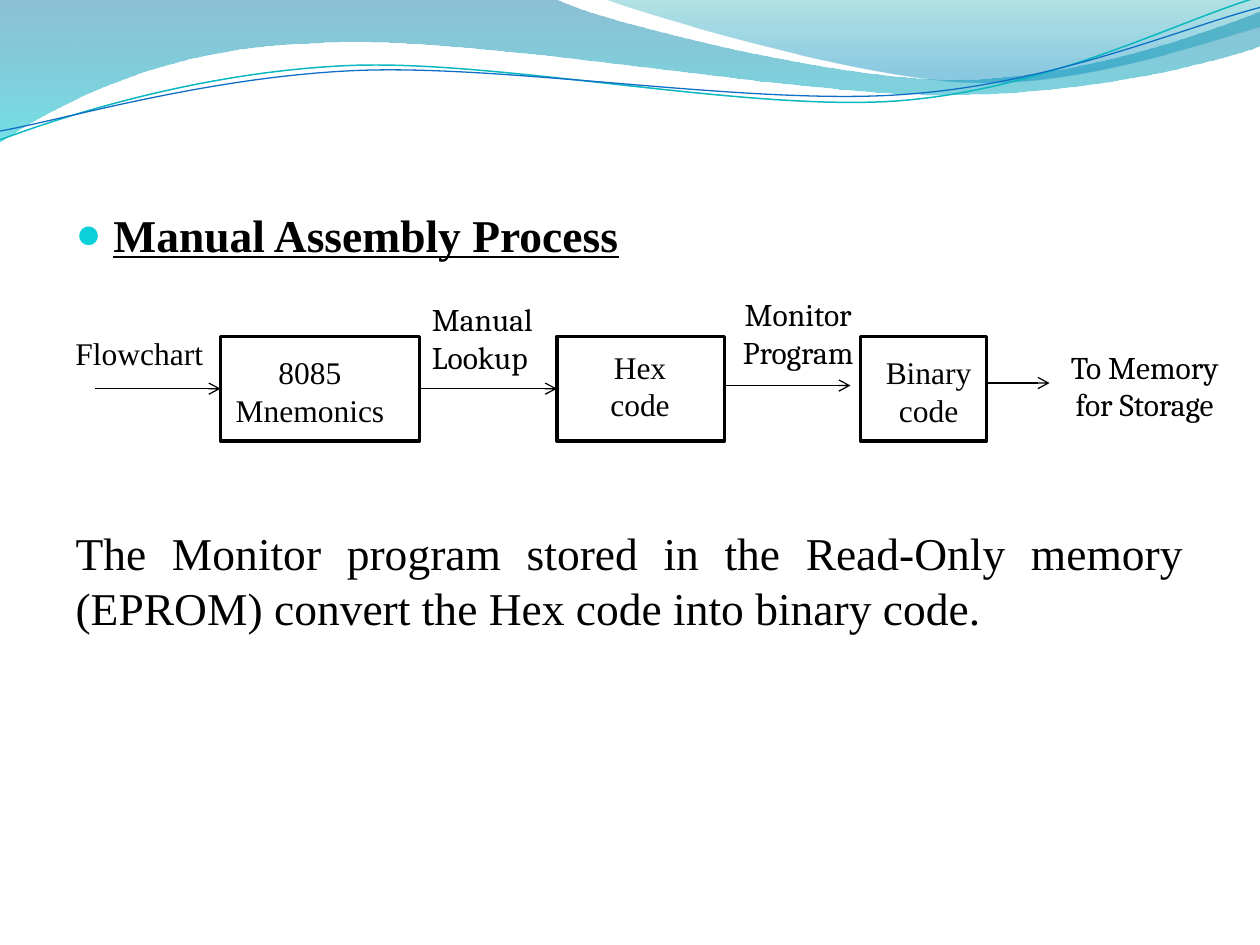
import math

from lxml import etree
from pptx import Presentation
from pptx.dml.color import RGBColor
from pptx.enum.shapes import MSO_CONNECTOR, MSO_SHAPE
from pptx.enum.text import MSO_AUTO_SIZE, PP_ALIGN
from pptx.oxml.ns import qn
from pptx.util import Inches, Pt

RECT = MSO_SHAPE.RECTANGLE
STRAIGHT = MSO_CONNECTOR.STRAIGHT
LEFT, CENTER, JUSTIFY = PP_ALIGN.LEFT, PP_ALIGN.CENTER, PP_ALIGN.JUSTIFY
SERIF, LABEL = "Times New Roman", "Cambria"
BLACK, WHITE = "000000", "FFFFFF"
BOX_TOP, BOX_HEIGHT = 2.67, 0.83
BOX_MIDDLE = BOX_TOP + BOX_HEIGHT / 2
WAVE_TILT = 2.7

BAND = [[(0, 0)], [(4.4, -0.01)],
        [(4.76, 0.17), (6.64, 0.63), (7.58, 0.63)],
        [(8.53, 0.63), (9.58, 0.26), (10, 0.09)], [(10.01, 0.36)],
        [(9.83, 0.44), (8.7, 0.76), (7.46, 0.75)],
        [(6.22, 0.75), (3.82, 0.28), (2.57, 0.34)],
        [(1.29, 0.36), (0.46, 0.83), (-0.01, 1.13)], [(0, 0)]]
CREST = [[(4.79, -0.01)], [(5.09, 0.11), (6.82, 0.62), (7.69, 0.65)],
         [(8.56, 0.69), (9.61, 0.32), (10, 0.21)], [(10, 0)], [(4.79, -0.01)]]
TEAL_WAVE = [[(0, 1.11)], [(0.48, 0.93), (1.58, 0.57), (2.77, 0.52)],
             [(3.95, 0.47), (5.93, 0.89), (7.13, 0.8)],
             [(8.33, 0.71), (9.38, 0.15), (9.98, -0.02)]]
BLUE_WAVE = [[(0, 1.04)], [(0.47, 0.96), (1.64, 0.61), (2.83, 0.56)],
             [(4.03, 0.51), (5.97, 0.84), (7.17, 0.75)],
             [(8.36, 0.67), (9.41, 0.21), (10, 0.06)]]


def rgb(value):
    """Return the colour for a hex string."""
    return RGBColor.from_string(value)


def turn(segments, center, degrees):
    """Rotate every point clockwise about the center."""
    cx, cy = center
    c, s = math.cos(math.radians(degrees)), math.sin(math.radians(degrees))
    return [[(cx + (x - cx) * c - (y - cy) * s, cy + (x - cx) * s + (y - cy) * c)
             for x, y in segment] for segment in segments]


class SlideBuilder:
    """Hold the style and the current slide, and draw its elements."""

    def __init__(self, slide, ink=BLACK, label_size=18, body_size=26):
        self.s = slide
        self.ink = ink
        self.label_size = label_size
        self.body_size = body_size

    def format(self, p, size, font=SERIF, align=LEFT, strong=False):
        p.alignment = align
        for r in p.runs:
            r.font.size, r.font.name = Pt(size), font
            r.font.bold = r.font.underline = strong
            r.font.color.rgb = rgb(self.ink)

    def outline(self, segments, closed):
        points = [(Inches(x), Inches(y)) for segment in segments for x, y in segment]
        builder = self.s.shapes.build_freeform(*points[0])
        builder.add_line_segments(points[1:], close=closed)
        sp = builder.convert_to_shape()
        sp.shadow.inherit = False
        lines = list(sp._element.iter(qn("a:lnTo")))
        for segment in segments[1:]:
            used, lines = lines[:len(segment)], lines[len(segment):]
            if len(segment) == 3:
                curve = etree.Element(qn("a:cubicBezTo"))
                used[0].addprevious(curve)
                for line in used:
                    curve.append(line[0])
                    line.getparent().remove(line)
        return sp

    def band(self, segments, stops):
        sp = self.outline(segments, True)
        sp.line.fill.background()
        sp.fill.gradient()
        sp.fill.gradient_angle = 270
        for stop, (position, color, _) in zip(sp.fill.gradient_stops, stops):
            stop.position = position
            stop.color.rgb = rgb(color)
        for clr, (_, _, alpha) in zip(sp._element.spPr.iter(qn("a:srgbClr")), stops):
            etree.SubElement(clr, qn("a:alpha"), val=str(alpha * 1000))

    def wave(self, segments, center, color, width):
        sp = self.outline(turn(segments, center, WAVE_TILT), False)
        sp.rotation = -WAVE_TILT
        sp.fill.background()
        sp.line.color.rgb = rgb(color)
        sp.line.width = Pt(width)

    def body(self, heading, text):
        title = self.s.shapes.title._element
        title.getparent().remove(title)
        sp = self.s.placeholders[1]
        self.s.shapes._spTree.append(sp._element)
        sp.left, sp.top, sp.width, sp.height = map(Inches, (0.5, 1.08, 9, 5.83))
        tf = sp.text_frame
        tf.auto_size = MSO_AUTO_SIZE.NONE
        tf.margin_top = Inches(0.56)
        first, second = tf.paragraphs[0], tf.add_paragraph()
        first.text, second.text = heading, text
        self.format(first, self.body_size, strong=True)
        self.format(second, self.body_size, align=JUSTIFY)
        first.space_before, second.space_before = Pt(0), Pt(151)
        pPr = first._p.get_or_add_pPr()
        pPr.set("marL", str(Inches(0.3)))
        pPr.set("indent", str(Inches(-0.3)))
        color = etree.SubElement(pPr, qn("a:buClr"))
        etree.SubElement(color, qn("a:srgbClr"), val="0BD0D9")
        etree.SubElement(pPr, qn("a:buSzPct"), val="95000")
        etree.SubElement(pPr, qn("a:buChar"), char="●")
        pPr = second._p.get_or_add_pPr()
        pPr.set("marL", "0")
        pPr.set("indent", "0")
        etree.SubElement(pPr, qn("a:buNone"))

    def box(self, left, width):
        sp = self.s.shapes.add_shape(RECT, *map(Inches, (left, BOX_TOP, width, BOX_HEIGHT)))
        sp.shadow.inherit = False
        sp.fill.solid()
        sp.fill.fore_color.rgb = rgb(WHITE)
        sp.line.color.rgb = rgb(self.ink)
        sp.line.width = Pt(2)
        return sp

    def arrow(self, x1, x2, y, begin=None, end=None):
        cn = self.s.shapes.add_connector(STRAIGHT, *map(Inches, (x1, y, x2, y)))
        if begin is not None:
            cn.begin_connect(begin, 3)
        if end is not None:
            cn.end_connect(end, 1)
        cn.line.color.rgb = rgb(self.ink)
        cn.line.width = Pt(0.75)
        etree.SubElement(cn.line._get_or_add_ln(), qn("a:tailEnd"), type="arrow")
        etree.SubElement(cn._element.spPr, qn("a:effectLst"))

    def label(self, text, left, top, width, height=0.71, font=SERIF, align=CENTER):
        sp = self.s.shapes.add_textbox(*map(Inches, (left, top, width, height)))
        tf = sp.text_frame
        tf.word_wrap = True
        tf.auto_size = MSO_AUTO_SIZE.SHAPE_TO_FIT_TEXT
        tf.text = text
        for p in tf.paragraphs:
            self.format(p, self.label_size, font, align)


def main():
    """Build the assembly process slide."""
    prs = Presentation()
    prs.slide_width, prs.slide_height = Inches(10), Inches(7.5)
    b = SlideBuilder(prs.slides.add_slide(prs.slide_layouts[1]))

    b.band(BAND, [(0, "0074A1", 45), (1, "00C6CF", 55)])
    b.band(CREST, [(0, "00A1A9", 30), (0.8, "008BBF", 45)])
    b.wave(TEAL_WAVE, (4.99, 0.58), "0AB8BF", 0.85)
    b.wave(BLUE_WAVE, (5, 0.59), "0F6FC6", 0.75)
    b.body("Manual Assembly Process",
           "The Monitor program stored in the Read-Only memory (EPROM) "
           "convert the Hex code into binary code.")

    mnemonics = b.box(1.75, 1.58)
    b.box(6.83, 1)
    hex_code = b.box(4.42, 1.33)
    b.arrow(0.75, 1.75, BOX_MIDDLE, end=mnemonics)
    b.arrow(5.75, 6.75, 3.06)
    b.arrow(3.33, 4.42, BOX_MIDDLE, begin=mnemonics, end=hex_code)
    b.arrow(7.83, 8.33, 3.04)

    b.label("Flowchart", 0.5, 2.6, 1.42, 0.4, align=LEFT)
    b.label("8085\nMnemonics", 1.75, 2.75, 1.42)
    b.label("Binary\ncode", 6.83, 2.75, 1.08)
    b.label("Hex code", 4.58, 2.71, 1)
    b.label("Manual Lookup", 3.33, 2.33, 1.67, font=LABEL, align=LEFT)
    b.label("Monitor Program", 5.5, 2.29, 1.67, font=LABEL)
    b.label("To Memory for Storage", 8.25, 2.71, 1.67, font=LABEL)
    prs.save("out.pptx")


if __name__ == "__main__":
    main()
